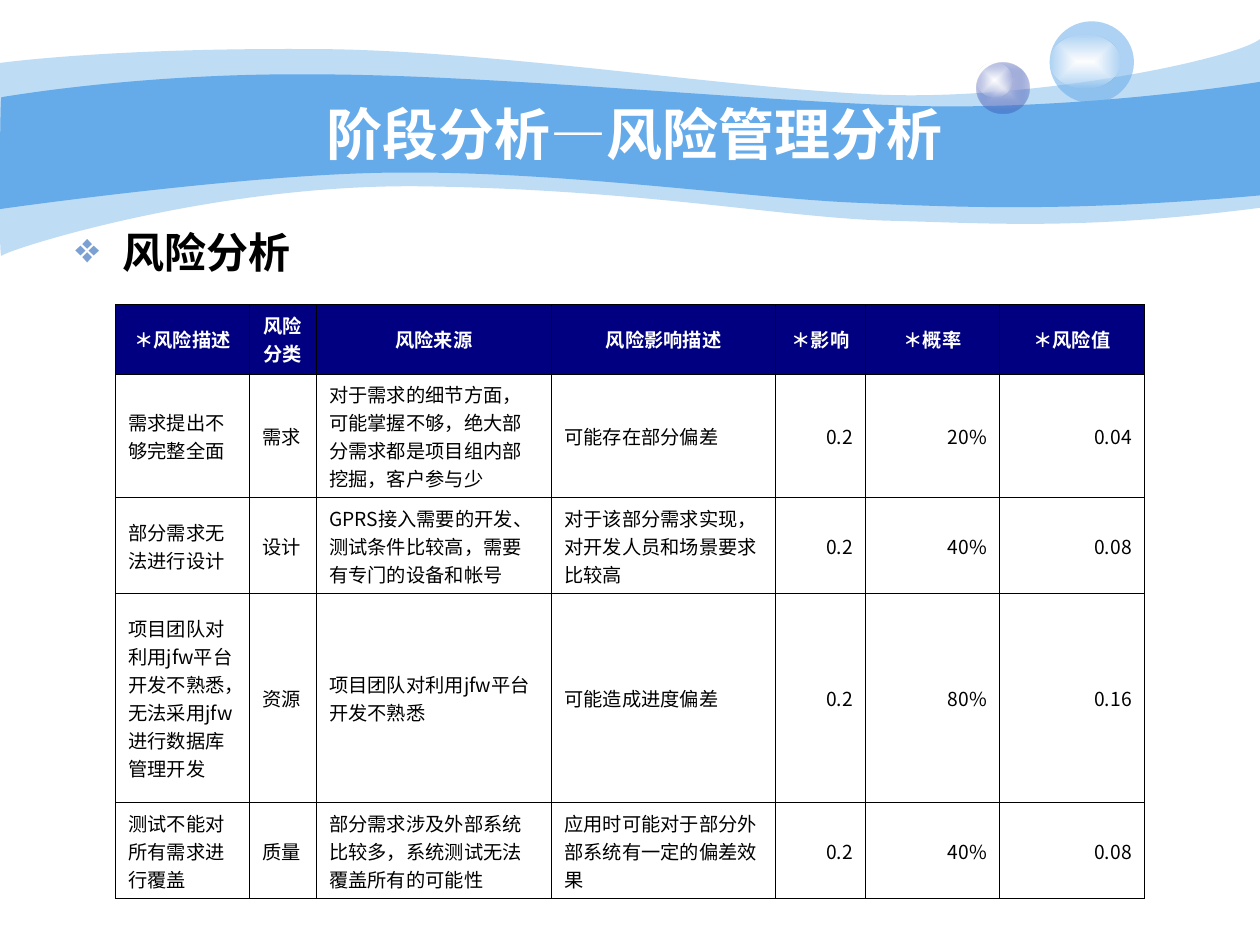
from lxml import etree
from pptx import Presentation, util as u
from pptx.dml.color import RGBColor
from pptx.enum import lang, shapes, text
from pptx.oxml import parse_xml
from pptx.oxml.ns import nsdecls, qn

# Content
TITLE = "阶段分析—风险管理分析"
TOPIC = "风险分析"
HEAD = ["＊风险描述", "风险分类", "风险来源", "风险影响描述", "＊影响", "＊概率", "＊风险值"]
RISKS = [
    ["需求提出不够完整全面", "需求",
     "对于需求的细节方面，可能掌握不够，绝大部分需求都是项目组内部挖掘，客户参与少",
     "可能存在部分偏差", "0.2", "20%", "0.04"],
    ["部分需求无法进行设计", "设计",
     "GPRS接入需要的开发、测试条件比较高，需要有专门的设备和帐号",
     "对于该部分需求实现，对开发人员和场景要求比较高", "0.2", "40%", "0.08"],
    ["项目团队对利用jfw平台开发不熟悉，无法采用jfw进行数据库管理开发", "资源",
     "项目团队对利用jfw平台开发不熟悉",
     "可能造成进度偏差", "0.2", "80%", "0.16"],
    ["测试不能对所有需求进行覆盖", "质量",
     "部分需求涉及外部系统比较多，系统测试无法覆盖所有的可能性",
     "应用时可能对于部分外部系统有一定的偏差效果", "0.2", "40%", "0.08"],
]
COLS = [2.7, 1.35, 4.74, 4.52, 1.81, 2.7, 2.92]
ROWS = [1.4, 2.49, 1.94, 4.21, 1.94]
TEXTS = 4  # leading columns that hold words; the rest hold numbers

THEME = {
    "font": "Arial", "cell": "Noto Sans CJK SC", "bullet": "OpenSymbol",
    "wave": "65AAE9", "head": "000080", "mark": "7DA0D3",
    "light": "FFFFFF", "dark": "000000",
    "title": 32, "topic": 24, "small": 11, "rule": 0.45,
}

# Waves: opacity, start, then curves (three points) or straight lines (one point), in cm
WAVES = [
    (41, (0, 1.27), [
        [(0.61, 1.19), (2.72, 0.97), (6.27, 0.99)],
        [(9.8, 0.99), (14.61, 1.78), (17.75, 1.91)],
        [(20.88, 2.03), (24.89, 1.19), (25.4, 0.79)],
        [(25.4, 4.19)],
        [(21.79, 4.65), (19.99, 4.5), (17.91, 4.45)],
        [(15.8, 4.39), (13.08, 3.84), (8.71, 3.76)],
        [(4.37, 3.66), (0.1, 5.05), (0.03, 5.16)],
        [(-0.03, 5.28), (0, 1.91), (0, 1.27)]]),
    (100, (0.03, 1.96), [
        [(0.05, 1.96), (2.79, 1.47), (6.3, 1.5)],
        [(9.8, 1.5), (15.11, 2.03), (18.24, 2.13)],
        [(21.36, 2.24), (24.79, 1.75), (25.4, 1.65)],
        [(25.4, 3.94)],
        [(21.67, 4.27), (19.43, 4.19), (17.32, 4.09)],
        [(15.21, 4.01), (11.35, 3.45), (8.05, 3.48)],
        [(5.16, 3.48), (-0.05, 4.22), (-0.03, 4.22)],
        [(0, 4.22), (0, 1.96), (0.03, 1.96)]]),
]

# Bubbles: box in cm, then (colour, opacity) from centre to edge
GLOW = [("FFFFFF", 100), ("FEFEFE", 0)]
BALLS = [
    ((19.69, 1.27, 1.07, 1.02), [("C6CCE8", 100), ("233DA9", 31)]),
    ((19.69, 1.27, 0.71, 0.69), GLOW),
    ((21.16, 0.43, 1.7, 1.65), [(THEME["wave"], 53)]),
    ((21.16, 0.69, 1.42, 1.09), GLOW),
]


def rgb(key):
    return RGBColor.from_string(THEME[key])


def tint(hue, part):
    return f'<a:srgbClr val="{hue}"><a:alpha val="{part * 1000}"/></a:srgbClr>'


def paint(shape, stops):
    """Fill a shape with one colour or a centred gradient, without line or shadow."""
    shape.shadow.inherit = False
    shape.line.fill.background()
    if len(stops) == 1:
        xml = f'<a:solidFill {nsdecls("a")}>{tint(*stops[0])}</a:solidFill>'
    else:
        marks = "".join(f'<a:gs pos="{i * 100000}">{tint(*s)}</a:gs>'
                        for i, s in enumerate(stops))
        xml = (f'<a:gradFill {nsdecls("a")} rotWithShape="1"><a:gsLst>{marks}</a:gsLst>'
               '<a:path path="rect"><a:fillToRect l="50000" t="50000" r="50000" b="50000"/>'
               '</a:path></a:gradFill>')
    shape.fill.background()
    props = shape._element.spPr
    props.replace(props.find(qn("a:noFill")), parse_xml(xml))


def wave(slide, start, parts):
    """Build an outline through all points, then join each three into a curve."""
    pen = slide.shapes.build_freeform(*map(u.Cm, start), scale=1.0)
    pen.add_line_segments([(u.Cm(x), u.Cm(y)) for part in parts for x, y in part], close=True)
    shape = pen.convert_to_shape()
    lines = iter(list(shape._element.iter(qn("a:lnTo"))))
    for part in parts:
        group = [next(lines) for _ in part]
        if len(group) == 3:
            curve = etree.Element(qn("a:cubicBezTo"))
            group[0].addprevious(curve)
            for line in group:
                curve.append(line[0])
                line.getparent().remove(line)
    return shape


def write(para, words, size, hue, bold, face="font"):
    run = para.add_run()
    run.text = words
    font = run.font
    font.name, font.size, font.bold = THEME[face], u.Pt(THEME[size]), bold
    font.color.rgb = rgb(hue)
    font.language_id = lang.MSO_LANGUAGE_ID.SIMPLIFIED_CHINESE


def label(slide, box, anchor):
    frame = slide.shapes.add_textbox(*map(u.Cm, box)).text_frame
    frame.word_wrap = True
    frame.vertical_anchor = anchor
    return frame.paragraphs[0]


def border(cell):
    props = cell._tc.get_or_add_tcPr()
    for side in ("lnL", "lnR", "lnT", "lnB"):
        line = etree.SubElement(props, qn(f"a:{side}"), w=str(u.Pt(THEME["rule"])))
        fill = etree.SubElement(line, qn("a:solidFill"))
        etree.SubElement(fill, qn("a:srgbClr"), val=THEME["dark"])


def main():
    deck = Presentation()
    deck.slide_width, deck.slide_height = u.Cm(25.4), u.Cm(19.05)
    slide = deck.slides.add_slide(deck.slide_layouts[6])

    # Waves and bubbles
    for part, start, curves in WAVES:
        paint(wave(slide, start, curves), [(THEME["wave"], part)])
    for box, stops in BALLS:
        ball = slide.shapes.add_shape(shapes.MSO_SHAPE.OVAL, *map(u.Cm, box))
        paint(ball, stops)

    # Title
    para = label(slide, (2.54, 1.9, 20.52, 1.57), text.MSO_ANCHOR.MIDDLE)
    para.alignment = text.PP_ALIGN.CENTER
    write(para, TITLE, "title", "light", True)

    # Topic with bullet
    para = label(slide, (1.27, 4.45, 17.78, 12.5), text.MSO_ANCHOR.TOP)
    props = para._p.get_or_add_pPr()
    props.set("marL", str(u.Cm(0.95)))
    props.set("indent", str(-u.Cm(0.95)))
    hue = etree.SubElement(props, qn("a:buClr"))
    etree.SubElement(hue, qn("a:srgbClr"), val=THEME["mark"])
    etree.SubElement(props, qn("a:buFont"), typeface=THEME["bullet"])
    etree.SubElement(props, qn("a:buChar"), char="❖")
    write(para, TOPIC, "topic", "dark", True)

    # Risk table
    data = [HEAD] + RISKS
    table = slide.shapes.add_table(len(data), len(HEAD), u.Cm(2.33), u.Cm(6.14),
                                   u.Cm(sum(COLS)), u.Cm(sum(ROWS))).table
    table.first_row = table.horz_banding = False
    for col, wide in zip(table.columns, COLS):
        col.width = u.Cm(wide)
    for row, tall in zip(table.rows, ROWS):
        row.height = u.Cm(tall)
    for r, line in enumerate(data):
        top = r == 0
        for c, words in enumerate(line):
            cell = table.cell(r, c)
            border(cell)
            cell.vertical_anchor = text.MSO_ANCHOR.MIDDLE
            if top:
                cell.fill.solid()
                cell.fill.fore_color.rgb = rgb("head")
            else:
                cell.fill.background()
            para = cell.text_frame.paragraphs[0]
            side = "CENTER" if top else "LEFT" if c < TEXTS else "RIGHT"
            para.alignment = text.PP_ALIGN[side]
            write(para, words, "small", "light" if top else "dark", top, "cell")

    deck.save("out.pptx")


if __name__ == "__main__":
    main()
